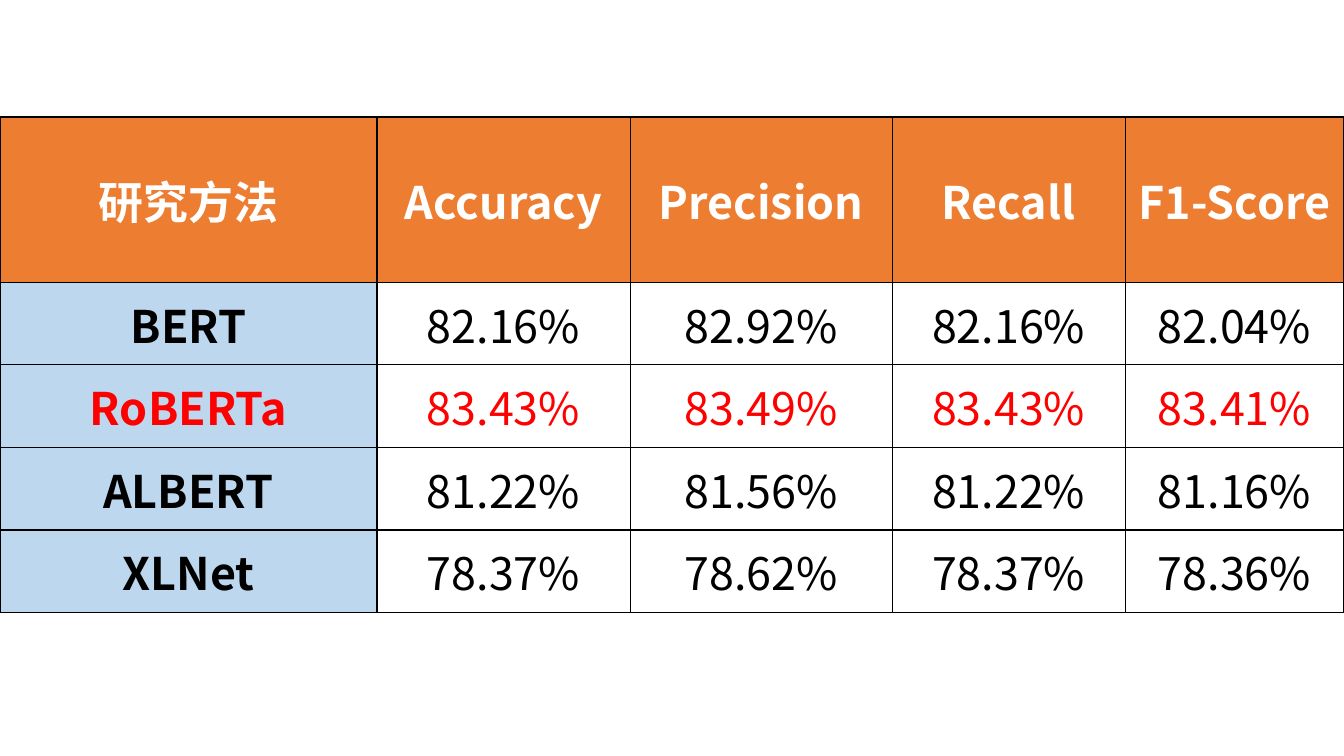
from lxml import etree
from pptx import Presentation
from pptx import util as u
from pptx.dml.color import RGBColor
from pptx.enum import text
from pptx.oxml import ns

FONT = "Noto Sans CJK SC"
ORANGE, PALE_BLUE = "ED7D31", "BDD7EE"
WHITE, BLACK, RED = "FFFFFF", "000000", "FF0000"

COLUMNS = [3.74, 2.51, 2.6, 2.31, 2.17]
ROW = 0.82
ROW_UNITS = [2, 1, 1, 1, 1]
TOP = 1.16
BEST_METHOD = "RoBERTa"

RESULTS = [
    ["研究方法", "Accuracy", "Precision", "Recall", "F1-Score"],
    ["BERT", "82.16%", "82.92%", "82.16%", "82.04%"],
    ["RoBERTa", "83.43%", "83.49%", "83.43%", "83.41%"],
    ["ALBERT", "81.22%", "81.56%", "81.22%", "81.16%"],
    ["XLNet", "78.37%", "78.62%", "78.37%", "78.36%"],
]


def paint(fill, color):
    """Fill with a hex colour, or leave clear when there is none."""
    if color is None:
        fill.background()
    else:
        fill.solid()
        fill.fore_color.rgb = RGBColor.from_string(color)


def add_borders(cell, color, width):
    properties = cell._tc.get_or_add_tcPr()
    for index, side in enumerate(("lnL", "lnR", "lnT", "lnB")):
        line = etree.Element(ns.qn(f"a:{side}"), w=str(u.Pt(width)))
        solid = etree.SubElement(line, ns.qn("a:solidFill"))
        etree.SubElement(solid, ns.qn("a:srgbClr"), val=color)
        properties.insert(index, line)


def write_cell(cell, words, color, bold):
    cell.vertical_anchor = text.MSO_ANCHOR.MIDDLE
    cell.margin_left = cell.margin_right = u.Inches(0.07)
    cell.margin_top = cell.margin_bottom = 0
    para = cell.text_frame.paragraphs[0]
    para.alignment = text.PP_ALIGN.CENTER
    span = para.add_run()
    span.text = words
    span.font.size = u.Pt(32)
    span.font.bold = bold
    span.font.name = FONT
    paint(span.font.fill, color)
    # East Asian typeface
    etree.SubElement(span.font._element, ns.qn("a:ea"), typeface=FONT)


def add_results_table(page):
    frame = page.shapes.add_table(
        len(RESULTS), len(COLUMNS), 0, u.Inches(TOP),
        u.Inches(sum(COLUMNS)), u.Inches(ROW * sum(ROW_UNITS)))
    table = frame.table
    table.first_row = table.horz_banding = False
    for column, width in zip(table.columns, COLUMNS):
        column.width = u.Inches(width)
    for row, units in zip(table.rows, ROW_UNITS):
        row.height = u.Inches(ROW * units)

    for r, values in enumerate(RESULTS):
        for c, words in enumerate(values):
            header, method = r == 0, c == 0
            fill = ORANGE if header else PALE_BLUE if method else None
            color = WHITE if header else RED if values[0] == BEST_METHOD else BLACK
            cell = table.cell(r, c)
            paint(cell.fill, fill)
            add_borders(cell, BLACK, 1)
            write_cell(cell, words, color, header or method)


def main():
    deck = Presentation()
    deck.slide_width, deck.slide_height = u.Inches(13.33), u.Inches(7.5)
    page = deck.slides.add_slide(deck.slide_layouts[6])  # blank layout
    add_results_table(page)
    deck.save("out.pptx")


if __name__ == "__main__":
    main()
